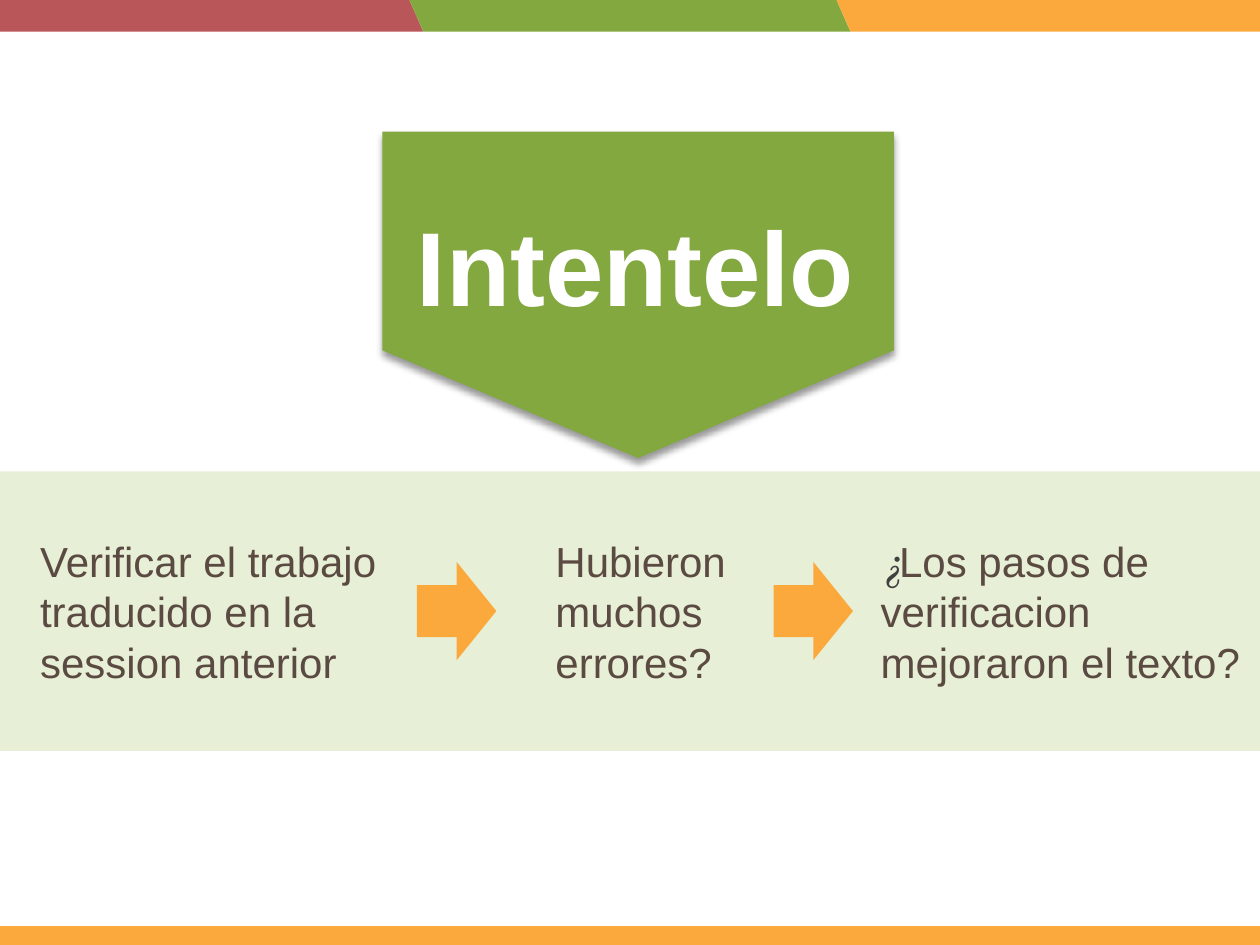
from lxml.etree import SubElement
from pptx import Presentation
from pptx.dml.color import RGBColor
from pptx.enum.shapes import MSO_SHAPE as Preset
from pptx.enum.text import MSO_ANCHOR as Anchor, MSO_AUTO_SIZE as AutoSize, PP_ALIGN as Align
from pptx.oxml.ns import qn
from pptx.util import Inches, Pt

WIDTH, HEIGHT = 10, 7.5
RED, GREEN, ORANGE = "B95659", "83A83F", "FBA93D"
PALE, BROWN, GRAY, WHITE = "E7F0D6", "5B4A42", "404040", "FFFFFF"
SANS, SERIF = "Arial", "TeX Gyre Schola"

HEADING = "Intentelo"
STEPS = [
    (0.22, 2.94, [("Verificar el trabajo traducido en la session anterior", SANS, BROWN, False)]),
    (4.31, 1.79, [("Hubieron muchos errores?", SANS, BROWN, False)]),
    (6.89, 3.26, [
        ("¿", SERIF, GRAY, True),
        ("Los pasos de verificacion mejoraron el texto?", SANS, BROWN, False),
    ]),
]
ARROW_LEFTS = [3.31, 6.14]
STRIPES = [RED, GREEN, ORANGE]
STRIPE_START, STRIPE_STEP, STRIPE_WIDTH = -0.14, 3.39, 3.5
BAND_TOP, BAND_HEIGHT = 3.74, 2.22
MIDDLE = BAND_TOP + BAND_HEIGHT / 2
STEP_HEIGHT, ARROW_WIDTH, ARROW_HEIGHT = 1.31, 0.63, 0.78


def color(value):
    return RGBColor.from_string(value)


def add_block(slide, preset, box, fill, adjustments=()):
    block = slide.shapes.add_shape(preset, *map(Inches, box))
    block.shadow.inherit = False
    block.fill.solid()
    block.fill.fore_color.rgb = color(fill)
    block.line.fill.background()
    for index, value in enumerate(adjustments):
        block.adjustments[index] = value
    return block


def add_run(paragraph, text, face, ink, size, bold=False, italic=False):
    run = paragraph.add_run()
    run.text = text
    font = run.font
    font.name, font.size = face, Pt(size)
    font.bold, font.italic = bold, italic
    font.color.rgb = color(ink)


def cast_shadow(block):
    effects = block._element.spPr.find(qn("a:effectLst"))
    shadow = SubElement(effects, qn("a:outerShdw"), blurRad=str(Pt(4)), dist=str(Pt(3)),
                        dir="5400000", rotWithShape="0")
    tint = SubElement(shadow, qn("a:srgbClr"), val="000000")
    SubElement(tint, qn("a:alpha"), val="40000")


def add_heading(slide):
    title = slide.shapes.title
    title.left, title.top, title.width, title.height = map(Inches, (3.14, 1.55, 3.81, 1.11))
    slide.shapes._spTree.append(title._element)
    frame = title.text_frame
    frame.word_wrap, frame.auto_size = True, AutoSize.NONE
    frame.vertical_anchor = Anchor.TOP
    paragraph = frame.paragraphs[0]
    paragraph.alignment = Align.CENTER
    add_run(paragraph, HEADING, SANS, WHITE, 60, bold=True)


def add_step(slide, left, width, pieces):
    box = (left, MIDDLE - STEP_HEIGHT / 2, width, STEP_HEIGHT)
    frame = slide.shapes.add_textbox(*map(Inches, box)).text_frame
    frame.word_wrap = True
    frame.vertical_anchor = Anchor.MIDDLE
    for text, face, ink, italic in pieces:
        add_run(frame.paragraphs[0], text, face, ink, 24, italic=italic)


def main():
    deck = Presentation()
    deck.slide_width, deck.slide_height = Inches(WIDTH), Inches(HEIGHT)
    slide = deck.slides.add_slide(deck.slide_layouts[5])

    for index, fill in enumerate(STRIPES):
        box = (STRIPE_START + index * STRIPE_STEP, 0, STRIPE_WIDTH, 0.25)
        stripe = add_block(slide, Preset.PARALLELOGRAM, box, fill, [0.44])
        stripe._element.spPr.xfrm.set("flipH", "1")
    add_block(slide, Preset.RECTANGLE, (0, HEIGHT - 0.15, WIDTH, 0.15), ORANGE)
    add_block(slide, Preset.RECTANGLE, (0, BAND_TOP, WIDTH, BAND_HEIGHT), PALE)

    banner = add_block(slide, Preset.PENTAGON, (3.77, 0.31, 2.59, 4.06), GREEN, [0.33])
    banner.rotation = 90
    cast_shadow(banner)
    add_heading(slide)

    for left, width, pieces in STEPS:
        add_step(slide, left, width, pieces)
    for left in ARROW_LEFTS:
        box = (left, MIDDLE - ARROW_HEIGHT / 2, ARROW_WIDTH, ARROW_HEIGHT)
        add_block(slide, Preset.RIGHT_ARROW, box, ORANGE, [0.53, 0.5])

    deck.save("out.pptx")


if __name__ == "__main__":
    main()
